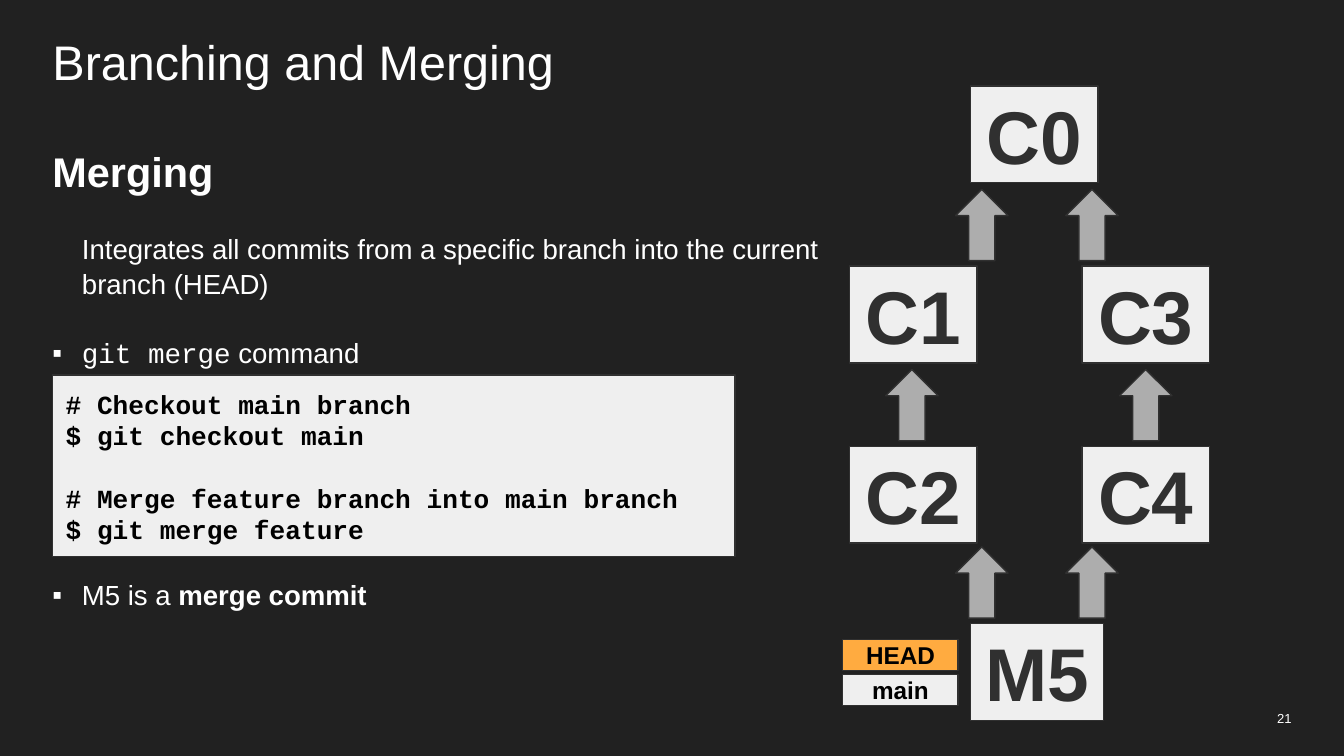
from lxml import etree
from pptx import Presentation
from pptx.dml.color import RGBColor
from pptx.enum.shapes import MSO_SHAPE
from pptx.enum.text import MSO_ANCHOR, MSO_AUTO_SIZE, PP_ALIGN
from pptx.oxml.ns import qn
from pptx.util import Inches, Pt

RECT, UP_ARROW = MSO_SHAPE.RECTANGLE, MSO_SHAPE.UP_ARROW
TOP, MIDDLE = MSO_ANCHOR.TOP, MSO_ANCHOR.MIDDLE
LEFT, CENTER, RIGHT = PP_ALIGN.LEFT, PP_ALIGN.CENTER, PP_ALIGN.RIGHT
NO_FIT = MSO_AUTO_SIZE.NONE

COLS, ROWS = 100, 56.25
CELL = Inches(10) / COLS


def rgb(value):
    return RGBColor.from_string(value)


def grid(*lengths):
    """Turn grid columns and rows into EMU."""
    return [round(n * CELL) for n in lengths]


def write(p, text, size=14.8, font="Arial", color="FFFFFF", bold=False):
    r = p.add_run()
    r.text = text
    r.font.size, r.font.name, r.font.bold = Pt(size), font, bold
    r.font.color.rgb = rgb(color)


def indent(p, margin, bullet=None):
    """Indent a paragraph and hang its bullet, if any, in the margin."""
    pPr = p._p.get_or_add_pPr()
    pPr.set("marL", str(Inches(margin)))
    pPr.set("indent", str(-Inches(margin) if bullet else 0))
    if bullet:
        clr = etree.SubElement(pPr, qn("a:buClr"))
        etree.SubElement(clr, qn("a:srgbClr"), val="FFFFFF")
        etree.SubElement(pPr, qn("a:buFont"), typeface="Arial")
        etree.SubElement(pPr, qn("a:buChar"), char=bullet)


class Deck:
    """Holds the style and the current slide."""
    back, panel, edge, arrow_fill = "212121", "EFEFEF", "303030", "ADADAD"
    accent, ink, mono = "FFAB40", "000000", "Courier New"

    def __init__(self):
        self.prs = Presentation()
        self.prs.slide_width, self.prs.slide_height = grid(COLS, ROWS)

    def add_slide(self, title):
        self.s = self.prs.slides.add_slide(self.prs.slide_layouts[5])
        self.s.background.fill.solid()
        self.s.background.fill.fore_color.rgb = rgb(self.back)
        sp = self.s.shapes.title
        sp.left, sp.top, sp.width, sp.height = grid(3.9, 2.4, 92.2, 6.2)
        p = self.frame(sp, 0, TOP).paragraphs[0]
        p.alignment = LEFT
        write(p, title, size=26)

    def frame(self, sp, inset, anchor):
        tf = sp.text_frame
        tf.word_wrap, tf.auto_size, tf.vertical_anchor = True, NO_FIT, anchor
        tf.margin_left = tf.margin_top = Inches(inset)
        tf.margin_right = tf.margin_bottom = Inches(inset)
        return tf

    def text(self, x, y, w, h):
        return self.frame(self.s.shapes.add_textbox(*grid(x, y, w, h)), 0, TOP)

    def shape(self, kind, x, y, w, h, fill):
        sp = self.s.shapes.add_shape(kind, *grid(x, y, w, h))
        sp.shadow.inherit = False
        sp.fill.solid()
        sp.fill.fore_color.rgb = rgb(fill)
        sp.line.color.rgb = rgb(self.edge)
        sp.line.width = Pt(0.75)
        return sp

    def box(self, label, x, y, w, h, fill=panel, **fmt):
        tf = self.frame(self.shape(RECT, x, y, w, h, fill), 0.1, MIDDLE)
        p = tf.paragraphs[0]
        p.alignment = CENTER
        write(p, label, bold=True, **fmt)

    def commit(self, label, x, y, w=9.5):
        self.box(label, x, y, w, 7.2, size=40, color=self.edge)

    def ref(self, label, y, fill):
        self.box(label, 62.7, y, 8.6, 2.3, fill, size=13, color=self.ink)

    def arrow(self, x, y):
        self.shape(UP_ARROW, x, y, 3.9, 5.3, self.arrow_fill)

    def code(self, x, y, w, h, blocks):
        tf = self.frame(self.shape(RECT, x, y, w, h, self.panel), 0.1, TOP)
        p = tf.paragraphs[0]
        for i, block in enumerate(blocks):
            for j, line in enumerate(block):
                if i or j:
                    p = tf.add_paragraph()
                p.alignment = LEFT
                if i and not j:
                    p.space_before = Pt(16.7)
                write(p, line, 14, self.mono, self.ink, True)

    def body(self, heading, items):
        """Each item is (blank lines before, bullet, runs)."""
        spacing, line = 1.05, 18.5
        tf = self.text(3.9, 10.7, 58.3, 39.5)
        p = tf.paragraphs[0]
        p.line_spacing = spacing
        write(p, heading, size=22.2, bold=True)
        for gap, bullet, runs in items:
            p = tf.add_paragraph()
            p.line_spacing, p.space_before = spacing, Pt(gap * line)
            indent(p, 0.22, bullet)
            for text, fmt in runs:
                write(p, text, **fmt)

    def page_number(self, number):
        p = self.text(92.9, 52.9, 3.2, 1.4).paragraphs[0]
        p.alignment = RIGHT
        write(p, number, size=7)


def main():
    deck = Deck()
    deck.add_slide("Branching and Merging")
    deck.body("Merging", [
        (1, None, [("Integrates all commits from a specific branch into "
                    "the current branch (HEAD)", {})]),
        (1, "▪", [("git merge", {"font": deck.mono}), (" command", {})]),
        (6, "▪", [("M5 is a ", {}), ("merge commit", {"bold": True})]),
    ])
    deck.code(3.9, 27.9, 50.8, 13.5, [
        ("# Checkout main branch", "$ git checkout main"),
        ("# Merge feature branch into main branch", "$ git merge feature"),
    ])

    main_x, middle_x, feature_x = 63.2, 72.2, 80.5
    row_y = (6.4, 19.8, 33.2, 46.4)
    deck.commit("C0", middle_x, row_y[0])
    for y, main_commit, feature_commit in zip(row_y[1:], ("C1", "C2"), ("C3", "C4")):
        deck.commit(main_commit, main_x, y)
        deck.commit(feature_commit, feature_x, y)
    deck.commit("M5", middle_x, row_y[3], 9.9)

    inner, outer = (71.1, 79.3), (65.9, 83.3)
    for y, pair in zip(row_y[1:], (inner, outer, inner)):
        for x in pair:
            deck.arrow(x, y - 5.7)

    deck.ref("HEAD", 47.6, deck.accent)
    deck.ref("main", 50.2, deck.panel)
    deck.page_number("21")
    deck.prs.save("out.pptx")


if __name__ == "__main__":
    main()
